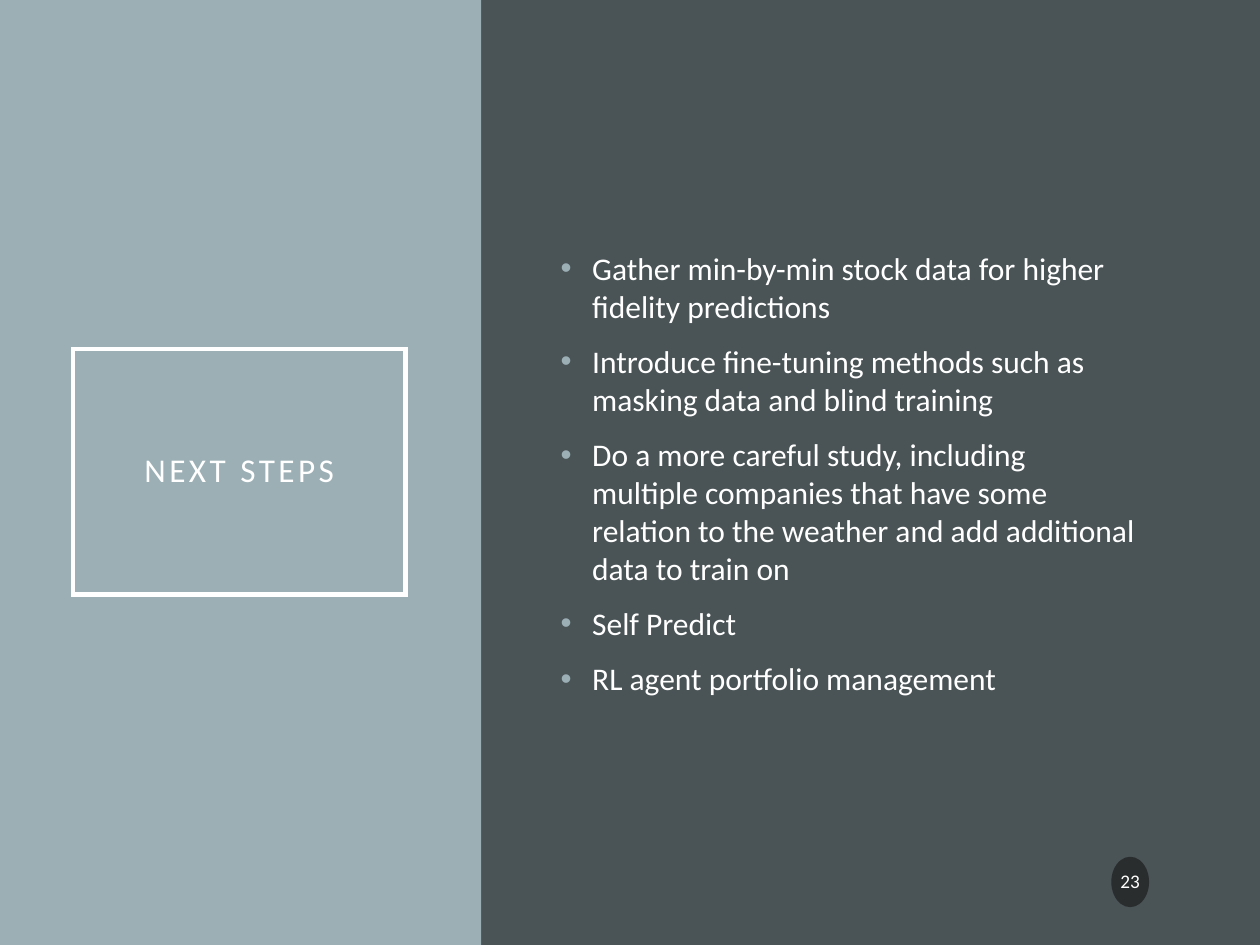
from lxml import etree
from pptx import Presentation
from pptx.dml.color import RGBColor
from pptx.enum.shapes import MSO_SHAPE
from pptx.enum.text import MSO_ANCHOR, MSO_AUTO_SIZE, PP_ALIGN
from pptx.oxml.ns import qn
from pptx.util import Inches, Pt

RECTANGLE, OVAL = MSO_SHAPE.RECTANGLE, MSO_SHAPE.OVAL
MIDDLE, NO_FIT = MSO_ANCHOR.MIDDLE, MSO_AUTO_SIZE.NONE
CENTER, LEFT = PP_ALIGN.CENTER, PP_ALIGN.LEFT

MIST = RGBColor(0x9B, 0xAF, 0xB5)
SLATE = RGBColor(0x4A, 0x53, 0x56)
BADGE = RGBColor(0x1D, 0x1D, 0x1D)
WHITE = RGBColor(0xFF, 0xFF, 0xFF)

FONT = "Calibri"
SLIDE_WIDTH, SLIDE_HEIGHT, SPLIT = 10, 7.5, 3.82
STEPS = [
    "Gather min-by-min stock data for higher fidelity predictions",
    "Introduce fine-tuning methods such as masking data and blind training",
    "Do a more careful study, including multiple companies that have some "
    "relation to the weather and add additional data to train on",
    "Self Predict",
    "RL agent portfolio management",
]


def apply(target, **values):
    """Set each named format value on the target."""
    for key, value in values.items():
        setattr(target, key, value)


def place(shape, box):
    """Move a shape to a left, top, width, height box in inches."""
    keys = ("left", "top", "width", "height")
    apply(shape, **dict(zip(keys, map(Inches, box))))


def format_frame(frame, inset_x, inset_y):
    """Centre a text frame vertically and set its insets in inches."""
    apply(frame, word_wrap=True, auto_size=NO_FIT, vertical_anchor=MIDDLE,
          margin_left=Inches(inset_x), margin_right=Inches(inset_x),
          margin_top=Inches(inset_y), margin_bottom=Inches(inset_y))


def write(paragraph, text, size, **layout):
    """Write one white run in a paragraph and return the run."""
    apply(paragraph, **layout)
    run = paragraph.add_run()
    run.text = text
    apply(run.font, name=FONT, size=Pt(size), bold=False)
    run.font.color.rgb = WHITE
    return run


def add_filled(slide, kind, box, color):
    """Add a plain filled shape without outline or shadow."""
    shape = slide.shapes.add_shape(kind, *map(Inches, box))
    shape.shadow.inherit = False
    shape.fill.solid()
    shape.fill.fore_color.rgb = color
    shape.line.fill.background()
    return shape


def add_panel(slide, box, color):
    """Add a background panel behind the placeholders."""
    panel = add_filled(slide, RECTANGLE, box, color)
    slide.shapes.element.insert(2, panel.element)


def fill_title(slide, box):
    """Place the framed title in its box."""
    title = slide.shapes.title
    place(title, box)
    title.line.color.rgb = WHITE
    title.line.width = Pt(2.5)
    outline = title.element.spPr.find(qn("a:ln"))
    etree.SubElement(outline, qn("a:miter"), lim="800000")
    format_frame(title.text_frame, 0.2, 0.2)
    run = write(title.text_frame.paragraphs[0], "NEXT STEPS", 19,
                alignment=CENTER, line_spacing=0.9)
    run.font.element.set("spc", "200") if hasattr(run.font, "element") else \
        run.font._element.set("spc", "200") if hasattr(run.font, "_element") else \
        run._r.get_or_add_rPr().set("spc", "200")


def add_bullet(paragraph):
    """Give a paragraph a coloured bullet and a hanging indent."""
    properties = paragraph._p.get_or_add_pPr()
    properties.set("marL", str(Inches(0.25)))
    properties.set("indent", str(Inches(-0.25)))
    color = etree.SubElement(properties, qn("a:buClr"))
    etree.SubElement(color, qn("a:srgbClr"), val=str(MIST))
    etree.SubElement(properties, qn("a:buFont"), typeface="Arial")
    etree.SubElement(properties, qn("a:buChar"), char="•")


def fill_steps(slide, box):
    """Place the bulleted list of next steps in its box."""
    body = slide.placeholders[1]
    place(body, box)
    frame = body.text_frame
    format_frame(frame, 0.1, 0.05)
    for index, step in enumerate(STEPS):
        paragraph = frame.add_paragraph() if index else frame.paragraphs[0]
        add_bullet(paragraph)
        write(paragraph, step, 18, alignment=LEFT,
              space_before=Pt(10 if index else 0))


def add_page_number(slide, box):
    """Add the translucent oval with the page number."""
    badge = add_filled(slide, OVAL, box, BADGE)
    color = badge.element.spPr.find(qn("a:solidFill"))[0]
    etree.SubElement(color, qn("a:alpha"), val="70000")
    format_frame(badge.text_frame, 0.02, 0.05)
    write(badge.text_frame.paragraphs[0], "23", 11, alignment=CENTER,
          line_spacing=0.9, space_after=Pt(6))


def main():
    """Build and save the slide."""
    deck = Presentation()
    apply(deck, slide_width=Inches(SLIDE_WIDTH),
          slide_height=Inches(SLIDE_HEIGHT))
    slide = deck.slides.add_slide(deck.slide_layouts[1])
    slide.background.fill.solid()
    slide.background.fill.fore_color.rgb = SLATE
    add_panel(slide, (SPLIT, 0, SLIDE_WIDTH - SPLIT, SLIDE_HEIGHT), SLATE)
    add_panel(slide, (0, 0, SPLIT, SLIDE_HEIGHT), MIST)
    fill_title(slide, (0.58, 2.77, 2.64, 1.95))
    fill_steps(slide, (4.35, 1.06, 4.78, 5.39))
    add_page_number(slide, (8.82, 6.8, 0.3, 0.4))
    deck.save("out.pptx")


if __name__ == "__main__":
    main()
